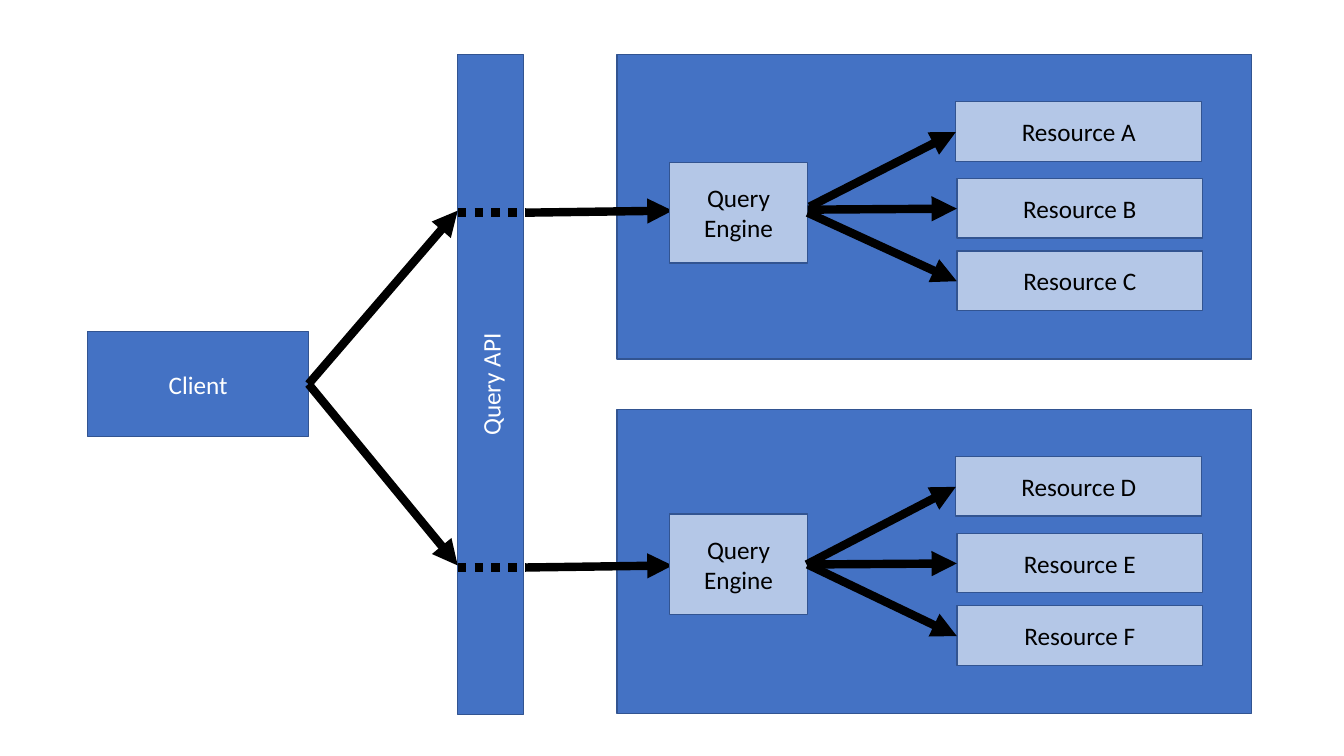
"""Build the slide of a client querying two engines through one query API."""
from dataclasses import dataclass

from lxml import etree
from pptx import Presentation
from pptx import util as u
from pptx.dml.color import RGBColor
from pptx.enum import dml, shapes, text
from pptx.oxml import ns
from pptx.shapes.autoshape import Shape
from pptx.shapes.connector import Connector
from pptx.slide import Slide

EMU_PER_PX = 9144
BLUE = RGBColor(0x44, 0x72, 0xC4)
PALE_BLUE = RGBColor(0xB4, 0xC7, 0xE7)
OUTLINE = RGBColor(0x32, 0x54, 0x91)
BLACK = RGBColor(0x00, 0x00, 0x00)
WHITE = RGBColor(0xFF, 0xFF, 0xFF)

Point = tuple[int, int]


@dataclass(frozen=True)
class Box:
    left: int
    top: int
    width: int
    height: int
    label: str = ""
    fill: RGBColor = BLUE
    color: RGBColor = WHITE
    rotation: int = 0


@dataclass(frozen=True)
class Arrow:
    start: Point
    end: Point
    dotted: bool = False


@dataclass(frozen=True)
class Group:
    offset: int
    engine_top: int
    resources: str
    fan_starts: tuple[Point, Point, Point]


GROUPS = (
    Group(0, 161, "ABC", ((803, 205), (801, 208), (801, 211))),
    Group(352, 510, "DEF", ((800, 560), (801, 560), (801, 560))),
)
RESOURCE_CORNERS = ((948, 101), (949, 177), (949, 249))
RESOURCE_WIDTH = 244
RESOURCE_HEIGHT = 59
CLIENT_EXIT = (306, 381)
API_LEFT = 454
API_RIGHT = 521


def px(length: int) -> u.Emu:
    return u.Emu(length * EMU_PER_PX)


def write_text(shape: Shape, label: str, *, color: RGBColor,
               size: int = 18, font: str = "Calibri") -> None:
    frame = shape.text_frame
    frame.word_wrap = True
    frame.vertical_anchor = text.MSO_ANCHOR.MIDDLE
    paragraph = frame.paragraphs[0]
    paragraph.alignment = text.PP_ALIGN.CENTER
    run = paragraph.add_run()
    run.text = label
    run.font.name = font
    run.font.size = u.Pt(size)
    run.font.color.rgb = color


def draw_box(slide: Slide, box: Box) -> Shape:
    shape = slide.shapes.add_shape(
        shapes.MSO_SHAPE.RECTANGLE,
        px(box.left), px(box.top), px(box.width), px(box.height))
    shape.rotation = box.rotation
    shape.shadow.inherit = False
    shape.fill.solid()
    shape.fill.fore_color.rgb = box.fill
    shape.line.color.rgb = OUTLINE
    shape.line.width = u.Pt(1)
    if box.label:
        write_text(shape, box.label, color=box.color)
    return shape


def draw_arrow(slide: Slide, arrow: Arrow) -> Connector:
    connector = slide.shapes.add_connector(
        shapes.MSO_CONNECTOR.STRAIGHT,
        *map(px, arrow.start), *map(px, arrow.end))
    connector.line.color.rgb = BLACK
    connector.line.width = u.Pt(6)
    if arrow.dotted:
        connector.line.dash_style = dml.MSO_LINE.ROUND_DOT
    else:
        etree.SubElement(connector.get_or_add_ln(), ns.qn("a:tailEnd"), type="triangle")
    etree.SubElement(connector.element.spPr, ns.qn("a:effectLst"))
    return connector


def draw_group(slide: Slide, group: Group) -> None:
    entry = 209 + group.offset
    crossing = 211 + group.offset
    draw_box(slide, Box(612, 54 + group.offset, 629, 302))
    draw_arrow(slide, Arrow(CLIENT_EXIT, (API_LEFT, entry)))
    draw_arrow(slide, Arrow((API_LEFT, crossing), (API_RIGHT, crossing), dotted=True))
    draw_arrow(slide, Arrow((API_RIGHT, crossing), (667, entry)))
    draw_box(slide, Box(664, group.engine_top, 137, 100, "Query Engine", PALE_BLUE, BLACK))
    for letter, (left, base), start in zip(group.resources, RESOURCE_CORNERS, group.fan_starts):
        top = base + group.offset
        draw_box(slide, Box(left, top, RESOURCE_WIDTH, RESOURCE_HEIGHT,
                            f"Resource {letter}", PALE_BLUE, BLACK))
        draw_arrow(slide, Arrow(start, (left, top + RESOURCE_HEIGHT // 2 + 1)))


def main() -> None:
    presentation = Presentation()
    presentation.slide_width = px(1333)
    presentation.slide_height = px(750)
    slide = presentation.slides.add_slide(presentation.slide_layouts[6])
    draw_box(slide, Box(159, 349, 655, 65, "Query API", rotation=270))
    draw_box(slide, Box(87, 329, 219, 104, "Client"))
    for group in GROUPS:
        draw_group(slide, group)
    presentation.save("out.pptx")


if __name__ == "__main__":
    main()
